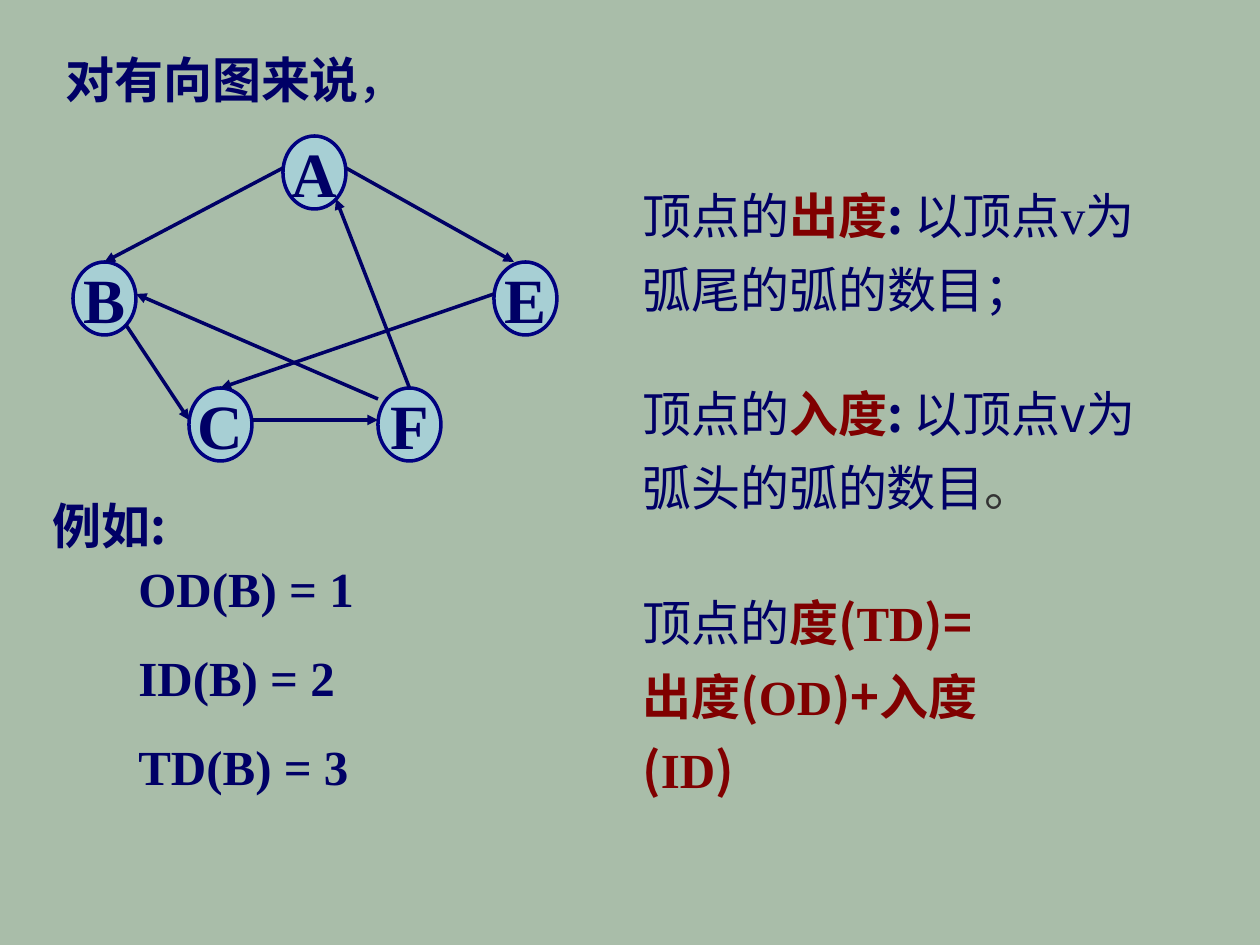
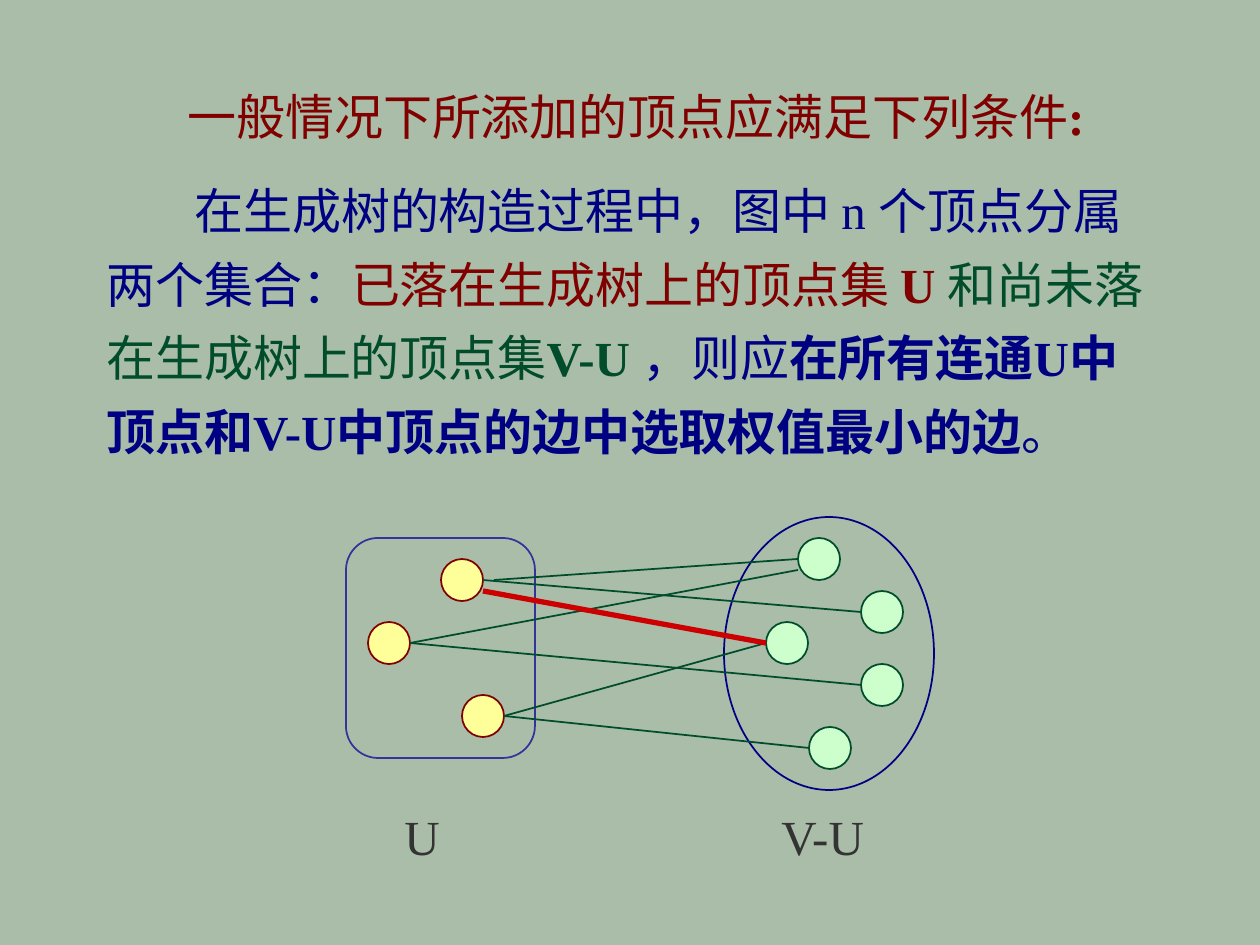
import pptx
import pptx.util
import pptx.dml.color
import pptx.enum.shapes
import pptx.enum.text
import pptx.oxml
import pptx.oxml.ns
import lxml.etree

PX_PER_INCH = 126
SLIDE_WIDTH, SLIDE_HEIGHT = 1260, 945
BACKGROUND = "A9BDA9"
INK, NAVY, MAROON, GREEN, GRAY = "000066", "000082", "800000", "004C2B", "333333"
SANS, SERIF = "Noto Sans CJK SC", "Times New Roman"
TEXT_SIZE = 28
NODE_WIDTH, NODE_HEIGHT = 63, 73
DOT = 42
SHAPES = pptx.enum.shapes.MSO_SHAPE


def px(length):
    return round(length * 914400 / PX_PER_INCH)


def color(hex_string):
    return pptx.dml.color.RGBColor.from_string(hex_string)


def add_child(parent, tag, **attributes):
    return lxml.etree.SubElement(parent, pptx.oxml.ns.qn(tag), attributes)


def fill_paragraph(paragraph, runs, font_name, hex_color, bold, size=TEXT_SIZE):
    paragraph.font.size = pptx.util.Pt(size)
    paragraph.font.name = font_name
    paragraph.font.bold = bold
    paragraph.font.color.rgb = color(hex_color)
    for text, changes in runs:
        run = paragraph.add_run()
        run.text = text
        if "color" in changes:
            run.font.color.rgb = color(changes["color"])
        if "bold" in changes:
            run.font.bold = changes["bold"]
        if "font" in changes:
            run.font.name = changes["font"]
        add_child(run._r.get_or_add_rPr(), "a:ea", typeface=SANS)


def add_text(slide, box, paragraphs, font_name=SANS, hex_color=INK, bold=False,
             line_spacing=1.25, indent=0):
    shape = slide.shapes.add_textbox(*map(px, box))
    frame = shape.text_frame
    frame.word_wrap = True
    frame.auto_size = pptx.enum.text.MSO_AUTO_SIZE.SHAPE_TO_FIT_TEXT
    for index, runs in enumerate(paragraphs):
        paragraph = frame.add_paragraph() if index else frame.paragraphs[0]
        paragraph.line_spacing = line_spacing
        if indent:
            properties = paragraph._p.get_or_add_pPr()
            properties.set("marL", "0")
            properties.set("indent", str(px(indent)))
        fill_paragraph(paragraph, runs, font_name, hex_color, bold)


def add_outline(slide, kind, box, line_color, line_width=1, fill=None):
    shape = slide.shapes.add_shape(kind, *map(px, box))
    shape.shadow.inherit = False
    shape.line.color.rgb = color(line_color)
    shape.line.width = pptx.util.Pt(line_width)
    if fill:
        shape.fill.solid()
        shape.fill.fore_color.rgb = color(fill)
    else:
        shape.fill.background()
    return shape


def add_line(slide, start, end, line_color, line_width=1, arrow=False):
    connector = slide.shapes.add_connector(
        pptx.enum.shapes.MSO_CONNECTOR.STRAIGHT, *map(px, (*start, *end)))
    connector.line.color.rgb = color(line_color)
    connector.line.width = pptx.util.Pt(line_width)
    if arrow:
        add_child(connector.line._get_or_add_ln(), "a:tailEnd", type="triangle")
    add_child(connector._element.spPr, "a:effectLst")
    return connector


def add_node(slide, name, left, top):
    node = add_outline(slide, SHAPES.OVAL, (left, top, NODE_WIDTH, NODE_HEIGHT),
                       "000080", 2, "A7E2FF")
    fill_color = node._element.spPr.find(".//" + pptx.oxml.ns.qn("a:srgbClr"))
    add_child(fill_color, "a:alpha", val="50000")
    frame = node.text_frame
    frame.word_wrap = False
    frame.vertical_anchor = pptx.enum.text.MSO_ANCHOR.MIDDLE
    paragraph = frame.paragraphs[0]
    paragraph.alignment = pptx.enum.text.PP_ALIGN.CENTER
    fill_paragraph(paragraph, [(name, {})], SERIF, INK, True, 36)
    return node


def add_directed_graph(slide, left, top):
    positions = {"A": (210, 0), "B": (0, 126), "E": (421, 126),
                 "C": (116, 252), "F": (305, 252)}
    nodes = {name: add_node(slide, name, left + x, top + y)
             for name, (x, y) in positions.items()}
    arcs = [("A", "B", (210, 32), None), ("B", "C", (53, 189), (116, 284)),
            ("C", "F", (179, 284), (305, 284)), ("F", "A", None, (263, 63)),
            ("A", "E", (273, 32), (441, 126)), ("F", "B", (305, 263), (63, 158)),
            ("E", "C", (421, 158), None)]
    for tail, head, start, end in arcs:
        points = [(left + x, top + y) for x, y in (start or (0, 0), end or (0, 0))]
        connector = add_line(slide, *points, INK, 2, arrow=True)
        if start is None:
            connector.begin_connect(nodes[tail], 0)
        if end is None:
            connector.end_connect(nodes[head], 0)


def add_definitions(slide, left, top):
    term = {"color": MAROON, "bold": True}
    latin = dict(term, font=SERIF)
    strong = {"bold": True}
    add_text(slide, (left, top, 538, 160), [[
        ("顶点的", {}), ("出度", term), (": ", strong), ("以顶点", {}),
        ("v", {"font": SERIF}), ("为弧尾的弧的数目；", {})]])
    add_text(slide, (left, top + 198, 556, 160), [[
        ("顶点的", {}), ("入度", term), (": ", strong),
        ("以顶点v为弧头的弧的数目", {}), ("。", {"color": GRAY})]])
    add_text(slide, (left, top + 407, 408, 233), [
        [("顶点的", {}), ("度(", term), ("TD", latin), (")=", term)],
        [("出度(", term), ("OD", latin), (")+入度(", term), ("ID", latin), (")", term)]])


def add_examples(slide, left, top):
    add_text(slide, (left, top, 159, 72), [[("例如:", {})]], bold=True, line_spacing=1)
    for row, text in enumerate(("OD(B) = 1", "ID(B) = 2", "TD(B) = 3")):
        add_text(slide, (left + 86, top + 63 + 89 * row, 272, 72), [[(text, {})]],
                 SERIF, bold=True, line_spacing=1)


def add_condition(slide, left, top):
    add_text(slide, (left + 37, top, 1012, 86), [[
        ("一般情况下所添加的顶点应满足下列条件", {}), (":", {"bold": True})]],
        SERIF, MAROON, indent=44)
    add_text(slide, (left, top + 94, 1071, 306), [[
        ("在生成树的构造过程中，图中 n 个顶点分属两个集合：", {}),
        ("已落在生成树上的顶点集 ", {"color": MAROON}),
        ("U ", {"color": MAROON, "bold": True}),
        ("和尚未落在生成树上的顶点集", {"color": GREEN}),
        ("V-U ", {"color": GREEN, "bold": True}),
        ("，则应", {}),
        ("在所有连通U中顶点和V-U中顶点的边中选取权值最小的边", {"bold": True}),
        ("。", {})]], SERIF, NAVY, indent=88)


def add_vertex_sets(slide, left, top):
    tree_set = add_outline(slide, SHAPES.ROUNDED_RECTANGLE,
                           (left, top + 21, 189, 220), "333399")
    tree_set.adjustments[0] = 0.17
    add_outline(slide, SHAPES.OVAL, (left + 378, top, 210, 273), NAVY)

    tree_dots = [(95, 42), (22, 105), (116, 178)]
    other_dots = [(452, 21), (515, 74), (463, 210), (420, 105), (515, 147)]
    for dots, line_color, fill in ((tree_dots, MAROON, "FFFF99"),
                                   (other_dots, GREEN, "CCFFCC")):
        for x, y in dots:
            add_outline(slide, SHAPES.OVAL, (left + x, top + y, DOT, DOT),
                        line_color, 1, fill)

    edges = [(0, 0, (11, 0), 0), (1, 4, (0, 0), 0), (2, 2, (0, 0), 0),
             (2, 3, (0, 0), 0), (0, 1, (0, 0), 0), (1, 0, (0, 0), 11),
             (0, 3, (0, 11), 0)]
    for tree, other, (start_x, start_y), end_y in edges:
        x, y = tree_dots[tree]
        start = (left + x + DOT + start_x, top + y + DOT // 2 + start_y)
        x, y = other_dots[other]
        end = (left + x, top + y + DOT // 2 + end_y)
        lightest = (tree, other) == (0, 3)
        add_line(slide, start, end, "CC0000" if lightest else GREEN, 3 if lightest else 1)

    for text, x, width in (("U", 46, 89), ("V-U", 423, 159)):
        add_text(slide, (left + x, top + 283, width, 72), [[(text, {})]],
                 SERIF, GRAY, line_spacing=1)


def build_degree_slide(slide):
    add_text(slide, (53, 29, 389, 86), [[
        ("对有向图来说", {"bold": True}), ("，", {})]])
    add_directed_graph(slide, 73, 136)
    add_definitions(slide, 630, 165)
    add_examples(slide, 40, 489)


def build_spanning_tree_slide(slide):
    add_condition(slide, 94, 66)
    add_vertex_sets(slide, 346, 517)


def main():
    presentation = pptx.Presentation()
    presentation.slide_width = px(SLIDE_WIDTH)
    presentation.slide_height = px(SLIDE_HEIGHT)
    background = presentation.slide_master.background.fill
    background.solid()
    background.fore_color.rgb = color(BACKGROUND)
    for build in (build_degree_slide, build_spanning_tree_slide):
        build(presentation.slides.add_slide(presentation.slide_layouts[6]))
    presentation.save("out.pptx")


if __name__ == "__main__":
    main()
